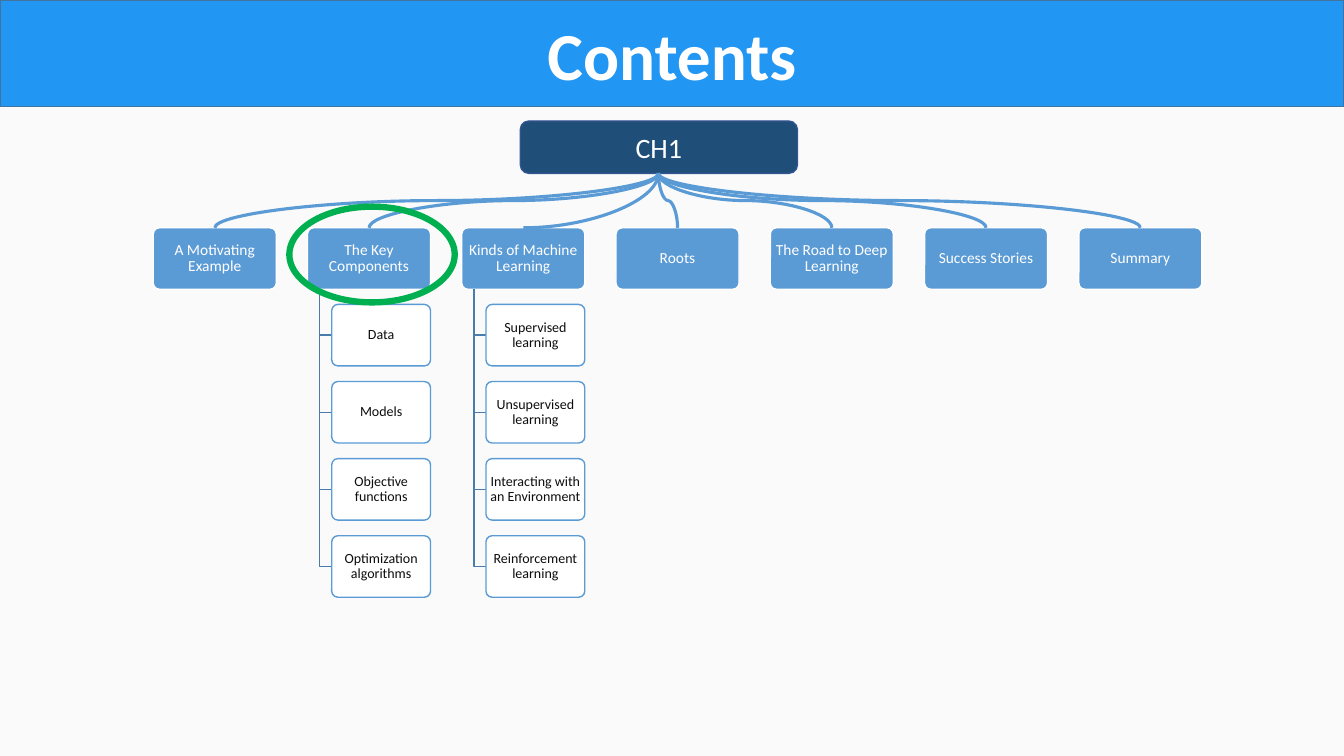
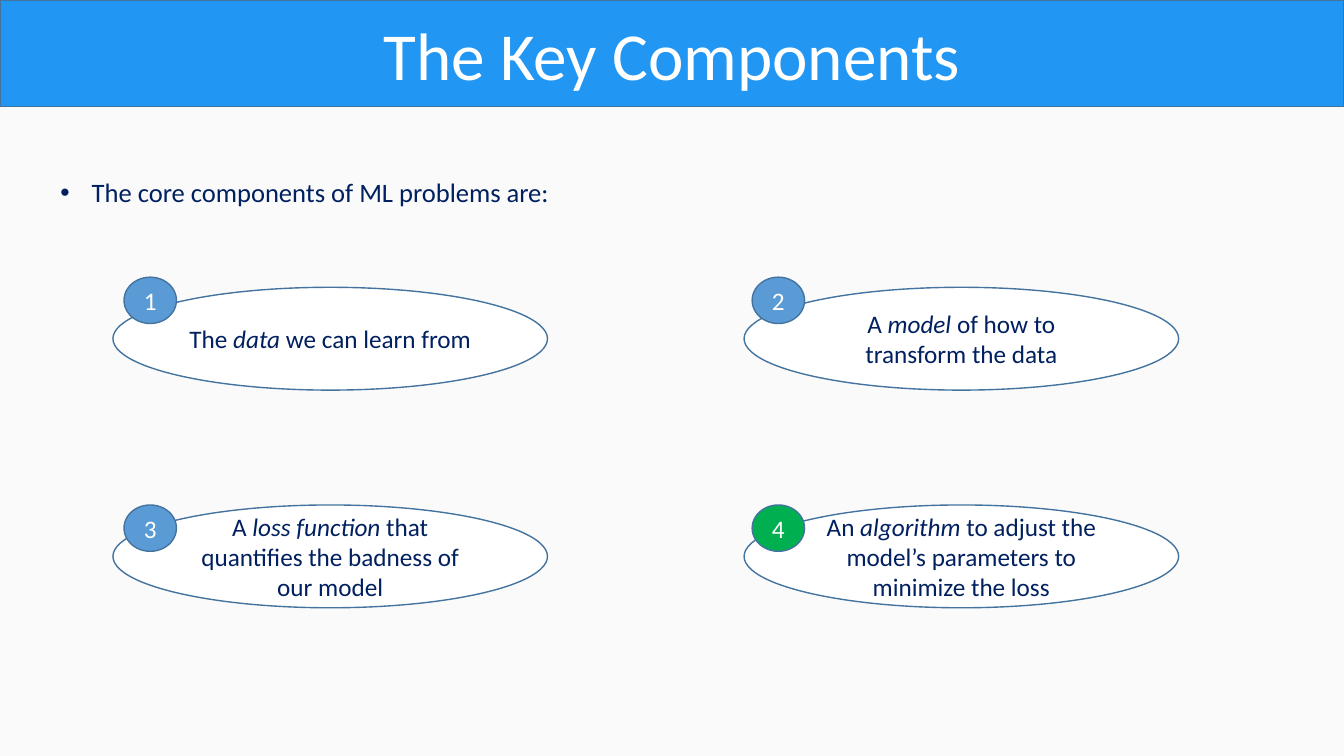
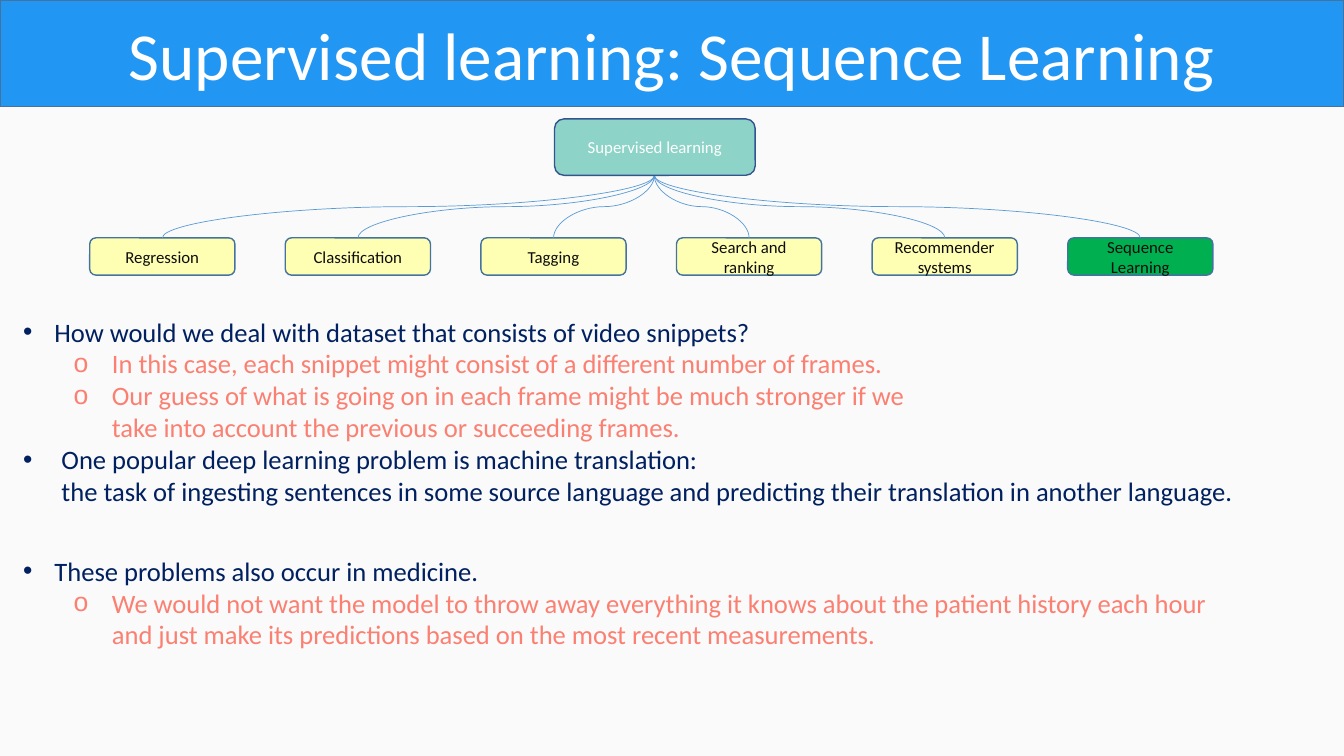
from lxml import etree
from pptx import Presentation
from pptx import util as u
from pptx.dml import color as dml
from pptx.enum import shapes, text
from pptx.oxml import ns

FONT = "Calibri"
WHITE, NAVY, BLACK, CORAL = "FFFFFF", "002060", "0D0D0D", "FB8072"
BAND, OUTLINE, ROOT_OUTLINE = "2196F3", "43739E", "325491"
BLUE, GREEN, BRANCH = "5B9BD5", "00B050", "497CAB"
RECT = shapes.MSO_SHAPE.ROUNDED_RECTANGLE
OVAL = shapes.MSO_SHAPE.OVAL
LIST_SIZE = 19

CHAPTERS = [
    ("A Motivating Example", []),
    ("The Key Components",
     ["Data", "Models", "Objective functions", "Optimization algorithms"]),
    ("Kinds of Machine Learning",
     ["Supervised learning", "Unsupervised learning",
      "Interacting with an Environment", "Reinforcement learning"]),
    ("Roots", []),
    ("The Road to Deep Learning", []),
    ("Success Stories", []),
    ("Summary", []),
]
COMPONENTS = [
    ("The ", "data ", "we can learn from"),
    ("A ", "model", " of how to transform the data"),
    ("A ", "loss function ", "that quantifies the badness of our model"),
    ("An ", "algorithm", " to adjust the model’s parameters to minimize the loss"),
]
TASKS = ["Regression", "Classification", "Tagging", "Search and ranking",
         "Recommender systems", "Sequence Learning"]
TOP = {"bullet": "•", "margin": 0.31, "hanging": 0.31, "color": NAVY}
WIDE_TOP = {**TOP, "margin": 0.38, "hanging": 0.38}
SUB = {"level": 1, "bullet": "o", "margin": 0.88, "hanging": 0.38, "color": CORAL}
SEQUENCE_NOTES = [
    ("How would we deal with dataset that consists of video snippets?", TOP),
    ("In this case, each snippet might consist of a different number of frames.", SUB),
    ("Our guess of what is going on in each frame might be much stronger if we\n"
     "take into account the previous or succeeding frames.", SUB),
    ("One popular deep learning problem is machine translation:\n"
     "the task of ingesting sentences in some source language and predicting "
     "their translation in another language.", WIDE_TOP),
    ("These problems also occur in medicine.", {**TOP, "before": 34}),
    ("We would not want the model to throw away everything it knows about the "
     "patient history each hour\n"
     "and just make its predictions based on the most recent measurements.", SUB),
]


def rgb(value):
    """Return the colour for a hex string."""
    return dml.RGBColor.from_string(value)


def assign(target, values):
    """Set each attribute named in a dict."""
    for name, value in values.items():
        setattr(target, name, value)


def place(shape, box):
    """Move and size a shape from lengths in inches."""
    assign(shape, dict(zip(("left", "top", "width", "height"), map(u.Inches, box))))


def paint(shape, fill, line, weight=1):
    """Give a shape its fill and outline."""
    if fill:
        shape.fill.solid()
        shape.fill.fore_color.rgb = rgb(fill)
    else:
        shape.fill.background()
    shape.line.color.rgb = rgb(line)
    shape.line.width = u.Pt(weight)


def style_runs(paragraph, size, color, **extra):
    """Format every run of a paragraph."""
    for run in paragraph.runs:
        assign(run.font, {"name": FONT, "size": u.Pt(size), **extra})
        run.font.color.rgb = rgb(color)


def add_slide(presentation, layout, title, bold=False):
    """Add a slide whose title fills the top band."""
    slide = presentation.slides.add_slide(presentation.slide_layouts[layout])
    heading = slide.shapes.title
    place(heading, (0, 0, 13.33, 1.06))
    paint(heading, BAND, OUTLINE)
    heading.text_frame.text = title
    assign(heading.text_frame, {"auto_size": text.MSO_AUTO_SIZE.NONE,
                                "vertical_anchor": text.MSO_ANCHOR.MIDDLE})
    paragraph = heading.text_frame.paragraphs[0]
    paragraph.alignment = text.PP_ALIGN.CENTER
    style_runs(paragraph, 48, WHITE, bold=bold)
    return slide


def add_node(slide, kind, box, fill, line, parts=(), size=18, color=WHITE,
             weight=1, inset=None, corner=None, spacing=None):
    """Add a shape with centred text, its second part in italics."""
    shape = slide.shapes.add_shape(kind, *map(u.Inches, box))
    shape.shadow.inherit = False
    paint(shape, fill, line, weight)
    if corner is not None:
        shape.adjustments[0] = corner
    frame = shape.text_frame
    assign(frame, {"word_wrap": True, "vertical_anchor": text.MSO_ANCHOR.MIDDLE})
    if inset is not None:
        sides = ("left", "right", "top", "bottom")
        assign(frame, {f"margin_{side}": u.Inches(inset) for side in sides})
    paragraph = frame.paragraphs[0]
    assign(paragraph, {"alignment": text.PP_ALIGN.CENTER, "line_spacing": spacing})
    for part in parts:
        paragraph.add_run().text = part
    style_runs(paragraph, size, color)
    if len(parts) > 1:
        paragraph.runs[1].font.italic = True


def add_curve(slide, start, end, weight, preset="curvedConnector3"):
    """Add a curve that leaves its start point downwards."""
    (x1, y1), (x2, y2) = start, end
    drop, reach = y2 - y1, abs(x2 - x1)
    left, top = (x1 + x2 - drop) / 2, (y1 + y2 - reach) / 2
    rightward = x2 > x1
    ends = (left + drop, left) if rightward else (left, left + drop)
    curve = slide.shapes.add_connector(
        shapes.MSO_CONNECTOR.CURVE, u.Inches(ends[0]), u.Inches(top),
        u.Inches(ends[1]), u.Inches(top + reach))
    curve.line.color.rgb = rgb(BLUE)
    curve.line.width = u.Pt(weight)
    properties = curve._element.spPr
    angle = 270 if rightward else 90
    properties.find(ns.qn("a:xfrm")).set("rot", str(angle * 60000))
    properties.find(ns.qn("a:prstGeom")).set("prst", preset)
    etree.SubElement(properties, ns.qn("a:effectLst"))


def add_branch(slide, start, end):
    """Add an open line going down and then across."""
    left, top, right, bottom = map(u.Inches, (*start, *end))
    builder = slide.shapes.build_freeform(left, top)
    builder.add_line_segments([(left, bottom), (right, bottom)], close=False)
    branch = builder.convert_to_shape()
    branch.shadow.inherit = False
    paint(branch, None, BRANCH)


def fill_list(slide, box, items):
    """Write bulleted items into the body placeholder."""
    body = slide.placeholders[1]
    place(body, box)
    frame = body.text_frame
    assign(frame, {"auto_size": text.MSO_AUTO_SIZE.NONE, "word_wrap": True})
    for index, (content, look) in enumerate(items):
        paragraph = frame.add_paragraph() if index else frame.paragraphs[0]
        paragraph.text = content
        assign(paragraph, {"level": look.get("level", 0),
                           "space_before": u.Pt(look.get("before", 0))})
        properties = paragraph._p.get_or_add_pPr()
        properties.set("marL", str(u.Inches(look["margin"])))
        properties.set("indent", str(-u.Inches(look["hanging"])))
        etree.SubElement(properties, ns.qn("a:buChar"), char=look["bullet"])
        for line_break in paragraph._p.findall(ns.qn("a:br")):
            etree.SubElement(line_break, ns.qn("a:rPr"), sz=str(LIST_SIZE * 100))
        style_runs(paragraph, LIST_SIZE, look["color"])


def build_contents(presentation):
    """Build the chapter tree."""
    slide = add_slide(presentation, 5, "Contents", bold=True)
    add_node(slide, RECT, (5.16, 1.2, 2.75, 0.52), "1F4E79", ROOT_OUTLINE, ["CH1"], 20)
    compact = {"corner": 0.1, "inset": 0.01, "spacing": 0.9}
    top, width, height = 2.26, 1.22, 0.61
    for column, (chapter, sections) in enumerate(CHAPTERS):
        left = 1.52 + 1.53 * column
        add_node(slide, RECT, (left, top, width, height), BLUE, WHITE,
                 [chapter], 11, **compact)
        for row, section in enumerate(sections):
            section_top = 3.02 + 0.765 * row
            add_branch(slide, (left + 0.12, top + height),
                       (left + 0.24, section_top + height / 2))
            add_node(slide, RECT, (left + 0.24, section_top, 0.98, height),
                     WHITE, BLUE, [section], 10, BLACK, **compact)
    for column in range(len(CHAPTERS)):
        preset = "curvedConnector2" if column == 2 else "curvedConnector3"
        add_curve(slide, (6.53, 1.72), (2.13 + 1.53 * column, top), 2.25, preset)
    add_node(slide, OVAL, (2.87, 2.05, 1.64, 0.95), None, GREEN, weight=4.5)


def build_components(presentation):
    """Build the four numbered components."""
    slide = add_slide(presentation, 1, "The Key Components")
    fill_list(slide, (0.5, 1.7, 5.5, 0.42),
              [("The core components of ML problems are:", TOP)])
    columns = [(1.12, 1.23), (7.38, 7.46)]
    rows = [(2.85, 2.75), (5.01, 5.01)]
    for index, parts in enumerate(COMPONENTS):
        row, column = divmod(index, 2)
        left, badge_left = columns[column]
        top, badge_top = rows[row]
        add_node(slide, OVAL, (left, top, 4.31, 1.02), WHITE, OUTLINE, parts, color=NAVY)
        add_node(slide, OVAL, (badge_left, badge_top, 0.52, 0.46),
                 GREEN if index == 3 else BLUE, OUTLINE, [str(index + 1)])


def build_sequence(presentation):
    """Build the supervised learning tree and its notes."""
    slide = add_slide(presentation, 1, "Supervised learning: Sequence Learning")
    top, width = 2.36, 1.44
    for column, task in enumerate(TASKS):
        left = 0.89 + 1.94 * column
        fill = GREEN if task == "Sequence Learning" else "FFFFB3"
        add_node(slide, RECT, (left, top, width, 0.37), fill, OUTLINE, [task], 12, BLACK)
        add_curve(slide, (6.49, 1.74), (left + width / 2, top), 0.5)
    add_node(slide, RECT, (5.5, 1.18, 1.99, 0.56), "8DD3C7", ROOT_OUTLINE,
             ["Supervised learning"], 12)
    fill_list(slide, (0.13, 3.08, 12.7, 3.44), SEQUENCE_NOTES)


def main():
    """Build and save the presentation."""
    presentation = Presentation()
    assign(presentation, {"slide_width": u.Inches(13.33), "slide_height": u.Inches(7.5)})
    background = presentation.slide_master.background.fill
    background.solid()
    background.fore_color.rgb = rgb("FAFAFA")
    for build in (build_contents, build_components, build_sequence):
        build(presentation)
    presentation.save("out.pptx")


if __name__ == "__main__":
    main()
